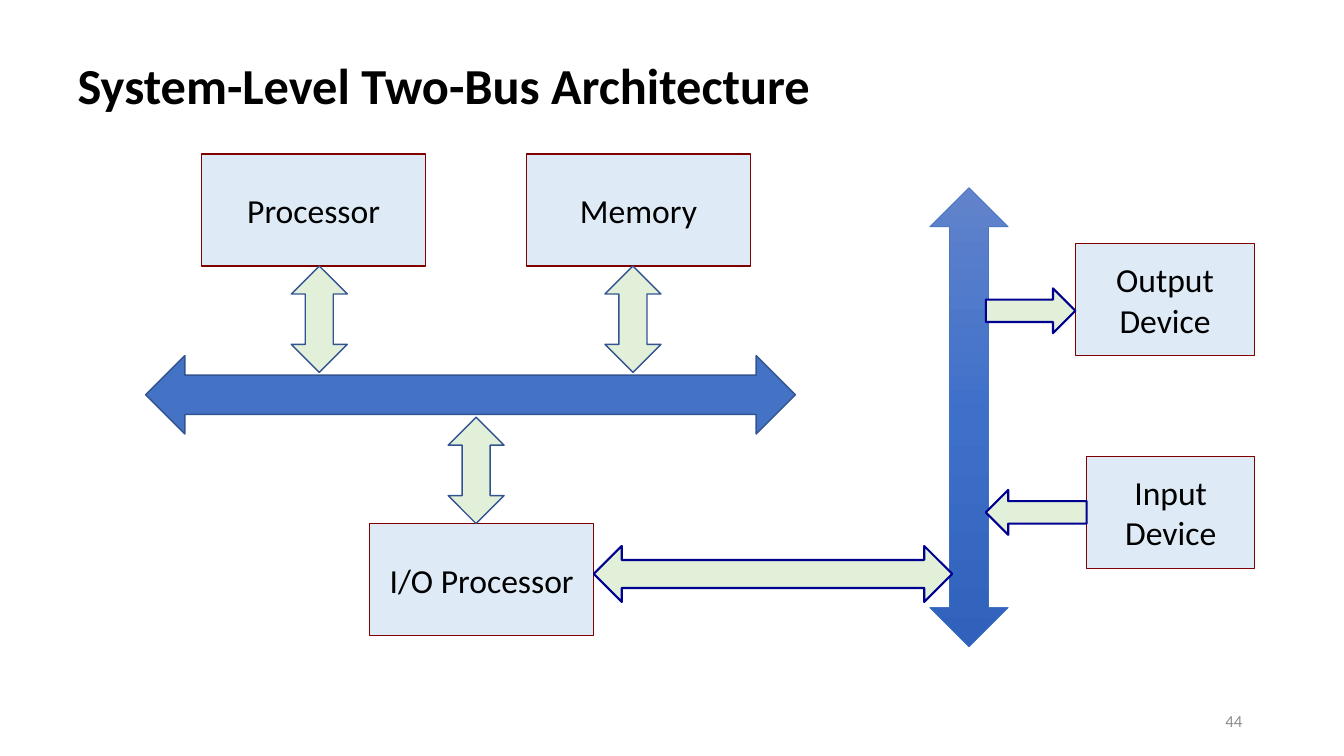
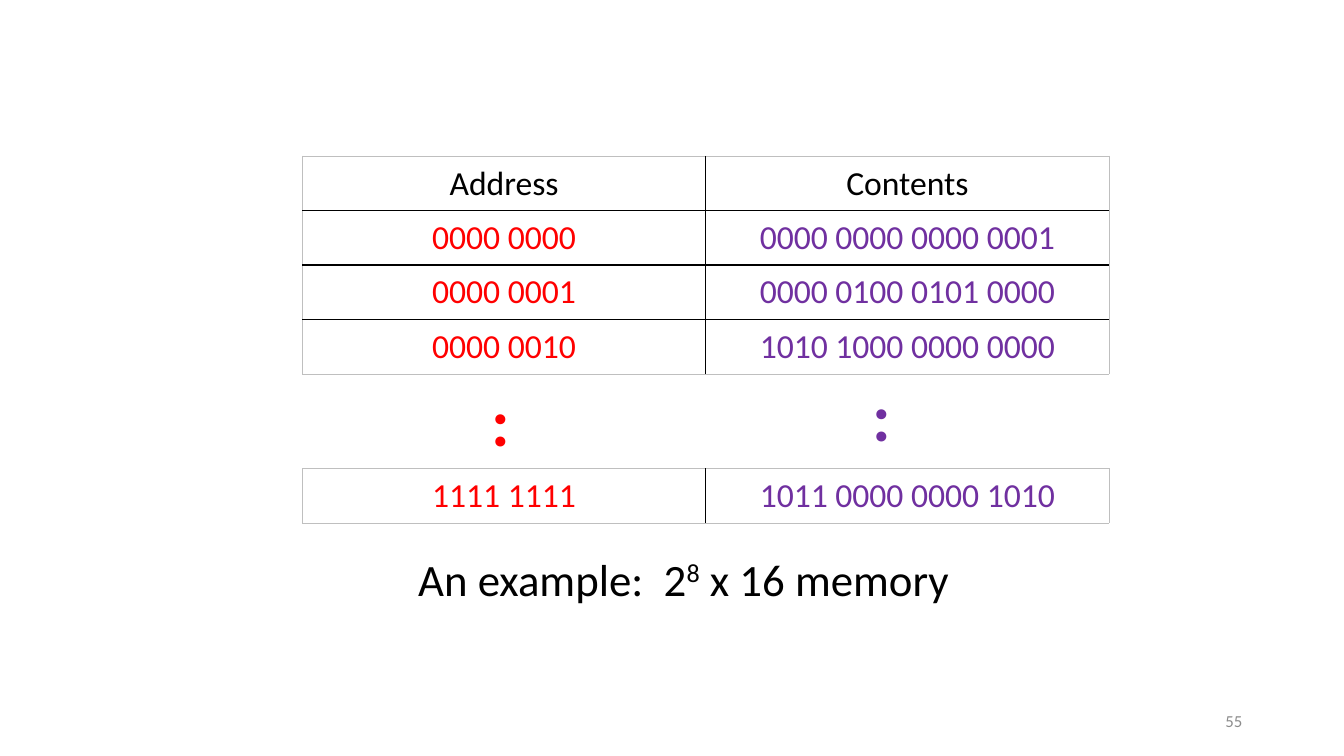
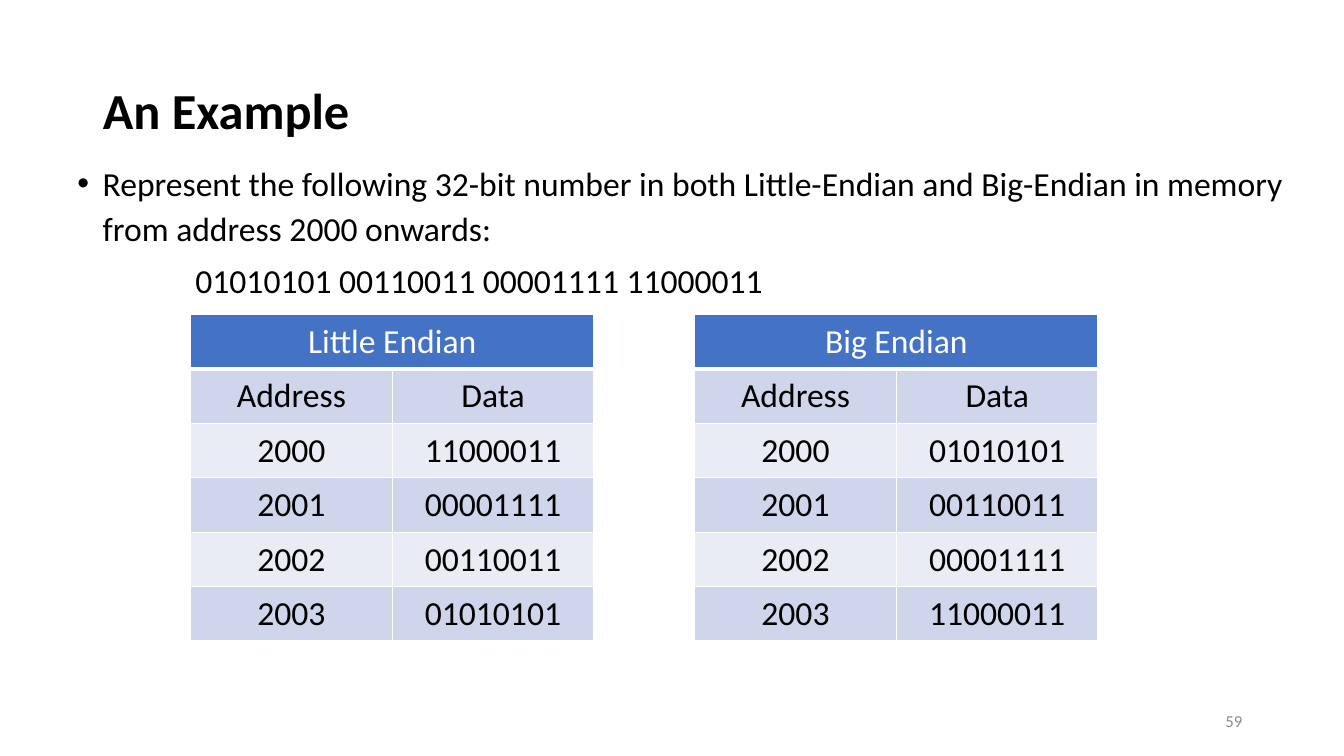
"""Build three slides on bus architecture, memory layout and byte order."""
from copy import deepcopy
from pptx import Presentation
from pptx.dml.color import RGBColor
from pptx.enum.shapes import MSO_SHAPE
from pptx.enum.text import MSO_ANCHOR, PP_ALIGN
from pptx.oxml.ns import qn
from pptx.oxml.xmlchemy import OxmlElement
from pptx.util import Inches, Pt

BLACK = RGBColor(0x00, 0x00, 0x00)
WHITE = RGBColor(0xFF, 0xFF, 0xFF)
GREY = RGBColor(0x8C, 0x8C, 0x8C)
SILVER = RGBColor(0xBF, 0xBF, 0xBF)
RED = RGBColor(0xFF, 0x00, 0x00)
PURPLE = RGBColor(0x70, 0x30, 0xA0)
MAROON = RGBColor(0x80, 0x00, 0x00)
NAVY = RGBColor(0x00, 0x00, 0x90)
BLUE = RGBColor(0x44, 0x72, 0xC4)
EDGE = RGBColor(0x32, 0x54, 0x91)
PALE = RGBColor(0xDE, 0xEB, 0xF7)
GREEN = RGBColor(0xE2, 0xF0, 0xD9)
BANDS = (RGBColor(0xCF, 0xD5, 0xEA), RGBColor(0xE9, 0xEB, 0xF5))
FADE = (RGBColor(0x61, 0x83, 0xCB), RGBColor(0x3E, 0x70, 0xCA), RGBColor(0x30, 0x62, 0xBB))

FONT = "Calibri"
WIDE, HIGH = 13.33, 7.5
UNIT = 1 / 9
RISE = 0.25
ROW = 0.54
LEFT, MID, RIGHT = PP_ALIGN.LEFT, PP_ALIGN.CENTER, PP_ALIGN.RIGHT

BOXES = [
    ("Input Device", 97, 41, 15),
    ("Output\nDevice", 96, 22, 16),
    ("Memory", 47, 14, 20),
    ("Processor", 18, 14, 20),
    ("I/O Processor", 33, 47, 20),
]
UPDOWN, ACROSS = MSO_SHAPE.UP_DOWN_ARROW, MSO_SHAPE.LEFT_RIGHT_ARROW
ARROWS = [
    (ACROSS, (13, 32, 58, 7), BLUE, EDGE, 1),
    (UPDOWN, (54, 24, 5, 9.5), GREEN, EDGE, 1),
    (UPDOWN, (26, 24, 5, 9.5), GREEN, EDGE, 1),
    (UPDOWN, (40, 37.5, 5, 9.5), GREEN, EDGE, 1),
    (UPDOWN, (83, 17, 7, 41), FADE, BLUE, 0.5),
    (ACROSS, (53, 49, 32, 5), GREEN, NAVY, 1.5),
    (MSO_SHAPE.RIGHT_ARROW, (88, 26, 8, 4), GREEN, NAVY, 1.5),
    (MSO_SHAPE.LEFT_ARROW, (88, 44, 9, 4), GREEN, NAVY, 1.5),
]

HEADS = ("Address", "Contents")
FIRST = [
    ("0000 0000", "0000 0000 0000 0001"),
    ("0000 0001", "0000 0100 0101 0000"),
    ("0000 0010", "1010 1000 0000 0000"),
]
LAST = [("1111 1111", "1011 0000 0000 1010")]
DOTS = [(4.78, 3.71, RED), (8.56, 3.66, PURPLE)]
CAPTION = "An example:  2^8^ x 16 memory"

TASK = ("Represent the following 32-bit number in both Little-Endian and "
        "Big-Endian in memory from address 2000 onwards:")
BYTES = ["01010101", "00110011", "00001111", "11000011"]
ORDERS = [("Big Endian", 6.89, BYTES), ("Little Endian", 1.89, BYTES[::-1])]


def write(frame, text, size=24, color=BLACK, bold=False, align=LEFT,
          anchor=MSO_ANCHOR.TOP, line=None, after=None):
    """Fill a frame; newlines part paragraphs and ^marks^ raise text."""
    frame.word_wrap = True
    frame.vertical_anchor = anchor
    for i, part in enumerate(text.split("\n")):
        par = frame.add_paragraph() if i else frame.paragraphs[0]
        par.alignment = align
        if line:
            par.line_spacing = line
        if after:
            par.space_after = Pt(after)
        for j, piece in enumerate(part.split("^")):
            run = par.add_run()
            run.text = piece
            font = run.font
            font.name, font.size, font.bold = FONT, Pt(size), bold
            font.color.rgb = color
            if j % 2:
                font._element.set("baseline", "30000")
    return frame.paragraphs


def label(slide, at, text, **form):
    """Add a text box."""
    box = slide.shapes.add_textbox(*map(Inches, at))
    return write(box.text_frame, text, **form)


def start(deck, number, title=None, at=None):
    """Add a slide with its number and, if given, its title."""
    slide = deck.slides.add_slide(deck.slide_layouts[5 if title else 6])
    if title:
        head = slide.shapes.title
        head.left, head.top, head.width, head.height = map(Inches, at)
        write(head.text_frame, title, size=36, bold=True,
              anchor=MSO_ANCHOR.MIDDLE, line=0.9)
    label(slide, (9.42, 6.95, 3, 0.4), str(number), size=12, color=GREY,
          align=RIGHT, anchor=MSO_ANCHOR.MIDDLE)
    return slide


def block(slide, kind, cells, fill, edge, width):
    """Add a preset shape placed in grid units."""
    x, y, w, h = cells
    shape = slide.shapes.add_shape(
        kind, *(Inches(n * UNIT) for n in (x, y - RISE, w, h)))
    shape.shadow.inherit = False
    if isinstance(fill, RGBColor):
        shape.fill.solid()
        shape.fill.fore_color.rgb = fill
    else:
        blend(shape, fill)
    shape.line.color.rgb = edge
    shape.line.width = Pt(width)
    return shape


def blend(shape, colors):
    """Fill a shape from top to bottom with three evenly set colours."""
    shape.fill.gradient()
    shape.fill.gradient_angle = 270
    stops = shape._element.spPr.find(qn("a:gradFill")).find(qn("a:gsLst"))
    stops.insert(1, deepcopy(stops[0]))
    for i, (stop, color) in enumerate(zip(shape.fill.gradient_stops, colors)):
        stop.color.rgb = color
        stop.position = i / 2


def border(cell, **sides):
    """Draw cell borders, each given as colour and width."""
    props = cell._tc.get_or_add_tcPr()
    for i, side in enumerate("LRTB"):
        color, width = sides[side]
        line = OxmlElement(f"a:ln{side}")
        line.set("w", str(Pt(width)))
        fill = OxmlElement("a:solidFill")
        tint = OxmlElement("a:srgbClr")
        tint.set("val", str(color))
        fill.append(tint)
        line.append(fill)
        props.insert(i, line)


def grid(slide, x, y, wide, rows, style):
    """Add a table; style gives text colour, fill and borders by place."""
    high = len(rows)
    table = slide.shapes.add_table(
        high, 2, *map(Inches, (x, y, wide, ROW * high))).table
    table.first_row = table.horz_banding = False
    for r, row in enumerate(rows):
        table.rows[r].height = Inches(ROW)
        for c, text in enumerate(row):
            cell = table.cell(r, c)
            cell.margin_left = cell.margin_right = Inches(0.13)
            cell.margin_top = cell.margin_bottom = Inches(0.07)
            color, fill, sides = style(r, c, high)
            if fill:
                cell.fill.solid()
                cell.fill.fore_color.rgb = fill
            else:
                cell.fill.background()
            border(cell, **sides)
            if text:
                write(cell.text_frame, text, color=color, align=MID)
    return table


def plain(head):
    """Style for an open table with a light frame."""
    def style(r, c, high):
        thin, dark = (SILVER, 0.5), (BLACK, 1)
        color = BLACK if head and r == 0 else (RED, PURPLE)[c]
        return color, None, {
            "L": dark if c else thin, "R": thin if c else dark,
            "T": dark if r else thin, "B": thin if r == high - 1 else dark}
    return style


def banded(r, c, high):
    """Style for a striped table under a blue heading."""
    sides = dict.fromkeys("LRTB", (WHITE, 1))
    if r < 2:
        sides["TB"[r == 0]] = (WHITE, 3)
    return (BLACK, BANDS[(r - 1) % 2], sides) if r else (WHITE, BLUE, sides)


def buses(deck):
    slide = start(deck, 44, "System-Level Two-Bus Architecture",
                  (0.67, 0.53, 12, 0.69))
    for text, x, y, wide in BOXES:
        box = block(slide, MSO_SHAPE.RECTANGLE, (x, y, wide, 10), PALE, MAROON, 1)
        write(box.text_frame, text, align=MID, anchor=MSO_ANCHOR.MIDDLE)
    for arrow in ARROWS:
        block(slide, *arrow)


def memory(deck):
    slide = start(deck, 55)
    grid(slide, 3, 1.55, 8, [HEADS] + FIRST, plain(True))
    label(slide, (0.67, 5.42, 12.22, 0.64), CAPTION, size=32, align=MID)
    grid(slide, 3, 4.65, 8, LAST, plain(False))
    for x, y, color in DOTS:
        label(slide, (x, y, 2.22, 1.63), ":", size=48, color=color, bold=True)


def endian(deck):
    slide = start(deck, 59, "An Example", (0.92, 0.4, 11.5, 1.45))
    task, word = label(slide, (0.67, 1.53, 12.22, 1.55),
                       TASK + "\n" + " ".join(BYTES), line=1.1, after=6)
    for par, left, hang in ((task, 0.25, -0.25), (word, 1.17, 0)):
        props = par._p.get_or_add_pPr()
        props.set("marL", str(Inches(left)))
        props.set("indent", str(Inches(hang)))
    face = OxmlElement("a:buFont")
    face.set("typeface", "Arial")
    mark = OxmlElement("a:buChar")
    mark.set("char", "•")
    task._p.pPr.extend((face, mark))
    for name, x, data in ORDERS:
        rows = [(name, ""), ("Address", "Data")]
        rows += [(str(2000 + i), byte) for i, byte in enumerate(data)]
        table = grid(slide, x, 3.12, 4, rows, banded)
        table.cell(0, 0).merge(table.cell(0, 1))


def main():
    deck = Presentation()
    deck.slide_width, deck.slide_height = Inches(WIDE), Inches(HIGH)
    for build in (buses, memory, endian):
        build(deck)
    deck.save("out.pptx")


if __name__ == "__main__":
    main()
